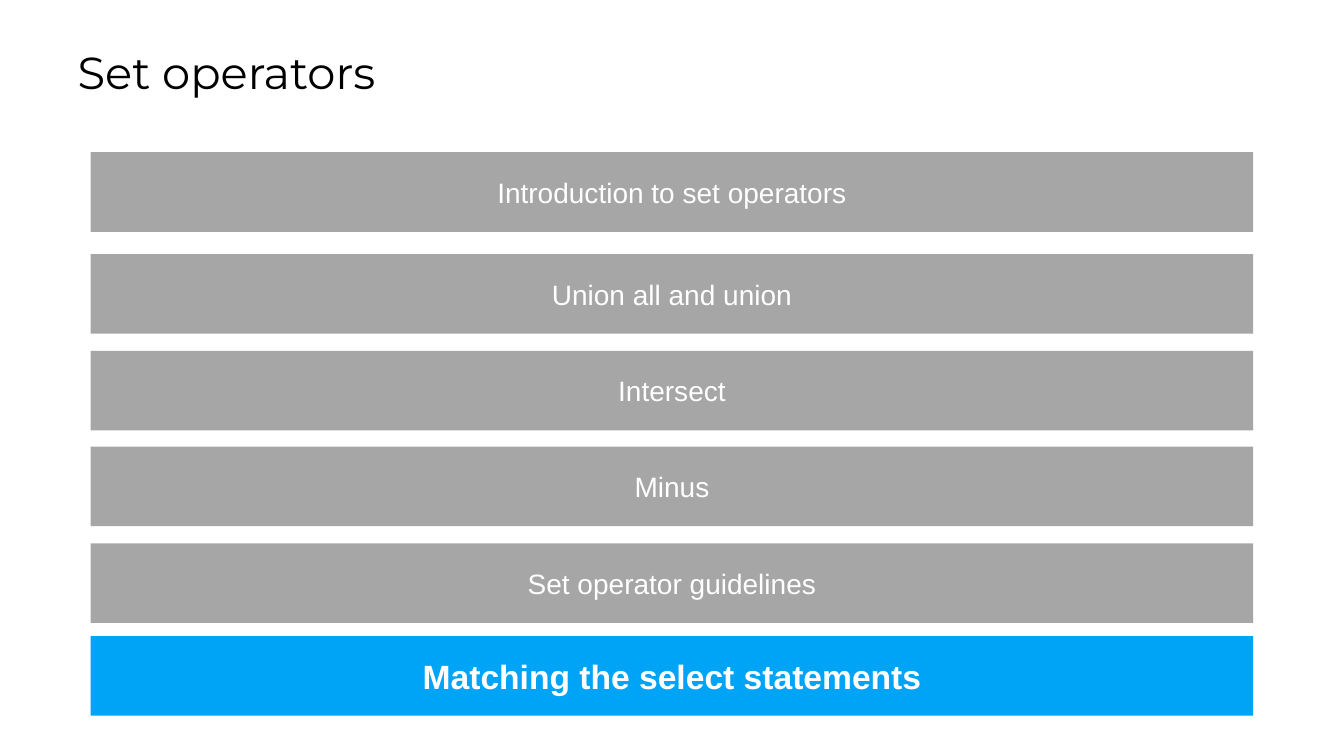
"""Build the agenda slide on set operators."""
import pptx
from pptx.dml.color import RGBColor
from pptx.enum.shapes import MSO_SHAPE
from pptx.enum.text import MSO_ANCHOR, PP_ALIGN
from pptx.util import Inches

GREY = RGBColor(0xA6, 0xA6, 0xA6)
BLUE = RGBColor(0x00, 0xA4, 0xF6)
WHITE = RGBColor(0xFF, 0xFF, 0xFF)
BLACK = RGBColor(0x00, 0x00, 0x00)

TITLE = "Set operators"
TOPICS = [
    ("Introduction to set operators", 1.51),
    ("Union all and union", 2.52),
    ("Intersect", 3.48),
    ("Minus", 4.43),
    ("Set operator guidelines", 5.39),
    ("Matching the select statements", 6.31),
]
ACTIVE = "Matching the select statements"
LEFT, WIDTH, HEIGHT = 0.9, 11.53, 0.79


def write(shape, text, face, size, color, align, bold=False):
    """Fill a shape with one formatted line of text."""
    frame = shape.text_frame
    frame.text = text
    frame.word_wrap = True
    frame.vertical_anchor = MSO_ANCHOR.MIDDLE
    line = frame.paragraphs[0]
    line.alignment = align
    font = line.runs[0].font
    font.name, font.size, font.bold = face, pptx.util.Pt(size), bold
    font.color.rgb = color


def add_bar(slide, topic, top):
    """Add one topic bar, highlighted when it is the active one."""
    active = topic == ACTIVE
    bar = slide.shapes.add_shape(
        MSO_SHAPE.RECTANGLE,
        Inches(LEFT), Inches(top), Inches(WIDTH), Inches(HEIGHT))
    bar.shadow.inherit = False
    bar.fill.solid()
    bar.fill.fore_color.rgb = BLUE if active else GREY
    bar.line.fill.background()
    write(bar, topic, "Arial", 24 if active else 20, WHITE,
          PP_ALIGN.CENTER, active)


deck = pptx.Presentation()
deck.slide_width, deck.slide_height = Inches(13.33), Inches(7.5)
slide = deck.slides.add_slide(deck.slide_layouts[5])

title = slide.shapes.title
title.left, title.top = Inches(0.67), Inches(0.39)
title.width, title.height = Inches(12.06), Inches(0.64)
write(title, TITLE, "Montserrat", 32, BLACK, PP_ALIGN.LEFT)

for topic, top in TOPICS:
    add_bar(slide, topic, top)

deck.save("out.pptx")
